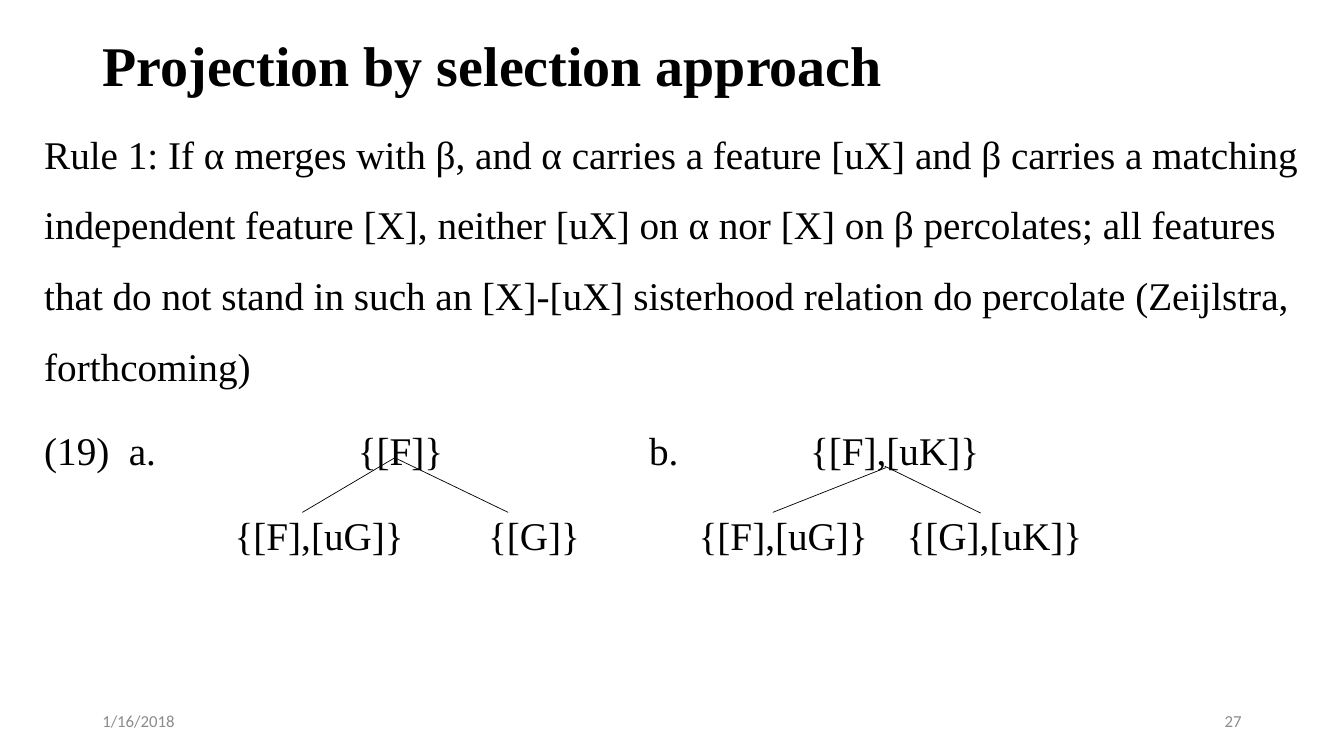
from lxml import etree
from pptx import Presentation
from pptx.dml.color import RGBColor
from pptx.enum.shapes import MSO_CONNECTOR
from pptx.enum.text import MSO_ANCHOR, PP_ALIGN
from pptx.oxml.ns import qn
from pptx.util import Pt

STRAIGHT = MSO_CONNECTOR.STRAIGHT
TOP, MIDDLE = MSO_ANCHOR.TOP, MSO_ANCHOR.MIDDLE
LEFT, RIGHT = PP_ALIGN.LEFT, PP_ALIGN.RIGHT
SERIF, SANS = "Times New Roman", "Calibri"
BLACK, GRAY = "000000", "8C8C8C"

RULE = ("Rule 1: If α merges with β, and α carries a feature [uX] and β carries "
        "a matching independent feature [X], neither [uX] on α nor [X] on β "
        "percolates; all features that do not stand in such an [X]-[uX] "
        "sisterhood relation do percolate (Zeijlstra, forthcoming)")

# Each row: text and its tab stops, measured from the left edge of the text
ROWS = [
    (RULE, []),
    ("(19)\ta.\t{[F]}\tb.\t{[F],[uK]}", [60.5, 224, 432, 547]),
    ("\t{[F],[uG]}\t{[G]}\t{[F],[uG]}\t{[G],[uK]}", [136, 317, 467.5, 616]),
]

# Each tree: branches as (top point, bottom point)
BRANCHES = [
    ((282, 327), (216, 366)),
    ((282, 327), (363, 366)),
    ((633, 334), (552, 366)),
    ((632, 333), (700.5, 366.5)),
]


def color(value):
    return RGBColor.from_string(value)


def place(shape, left, top, width, height):
    shape.left, shape.top = Pt(left), Pt(top)
    shape.width, shape.height = Pt(width), Pt(height)


def write(para, text, *, size, font=SERIF, fill=BLACK, bold=False, align=LEFT,
          spacing=1.0, before=0, tabs=()):
    para.alignment = align
    para.line_spacing = spacing
    para.space_before = Pt(before)
    if tabs:
        properties = para._p.get_or_add_pPr()
        tab_list = etree.SubElement(properties, qn("a:tabLst"))
        for stop in tabs:
            etree.SubElement(tab_list, qn("a:tab"), pos=str(Pt(stop)), algn="l")
    span = para.add_run()
    span.text = text
    span.font.size = Pt(size)
    span.font.name = font
    span.font.bold = bold
    span.font.color.rgb = color(fill)


def add_box(page, left, top, width, height, anchor=TOP):
    box = page.shapes.add_textbox(Pt(left), Pt(top), Pt(width), Pt(height))
    box.text_frame.word_wrap = True
    box.text_frame.vertical_anchor = anchor
    return box.text_frame


def add_title(page, text):
    title = page.shapes.title
    place(title, 66, 0, 828, 97)
    title.text_frame.vertical_anchor = MIDDLE
    write(title.text_frame.paragraphs[0], text, size=40, bold=True, spacing=0.9)


def add_body(page):
    frame = add_box(page, 24.5, 72.5, 917.5, 428)
    for index, (text, tabs) in enumerate(ROWS):
        para = frame.add_paragraph() if index else frame.paragraphs[0]
        write(para, text, size=28, spacing=1.5, before=10, tabs=tabs)


def add_footer(page, text, left, align):
    frame = add_box(page, left, 500.5, 216, 28.5, MIDDLE)
    write(frame.paragraphs[0], text, size=12, font=SANS, fill=GRAY, align=align)


def add_branch(page, start, end):
    branch = page.shapes.add_connector(STRAIGHT, *map(Pt, start + end))
    branch.line.width = Pt(0.5)
    branch.line.color.rgb = color(BLACK)
    etree.SubElement(branch._element.spPr, qn("a:effectLst"))


def main():
    deck = Presentation()
    deck.slide_width, deck.slide_height = Pt(960), Pt(540)
    page = deck.slides.add_slide(deck.slide_layouts[5])

    # Text
    add_title(page, "Projection by selection approach")
    add_body(page)
    add_footer(page, "1/16/2018", 66, LEFT)
    add_footer(page, "27", 678, RIGHT)

    # Tree branches
    for start, end in BRANCHES:
        add_branch(page, start, end)

    deck.save("out.pptx")


main()
